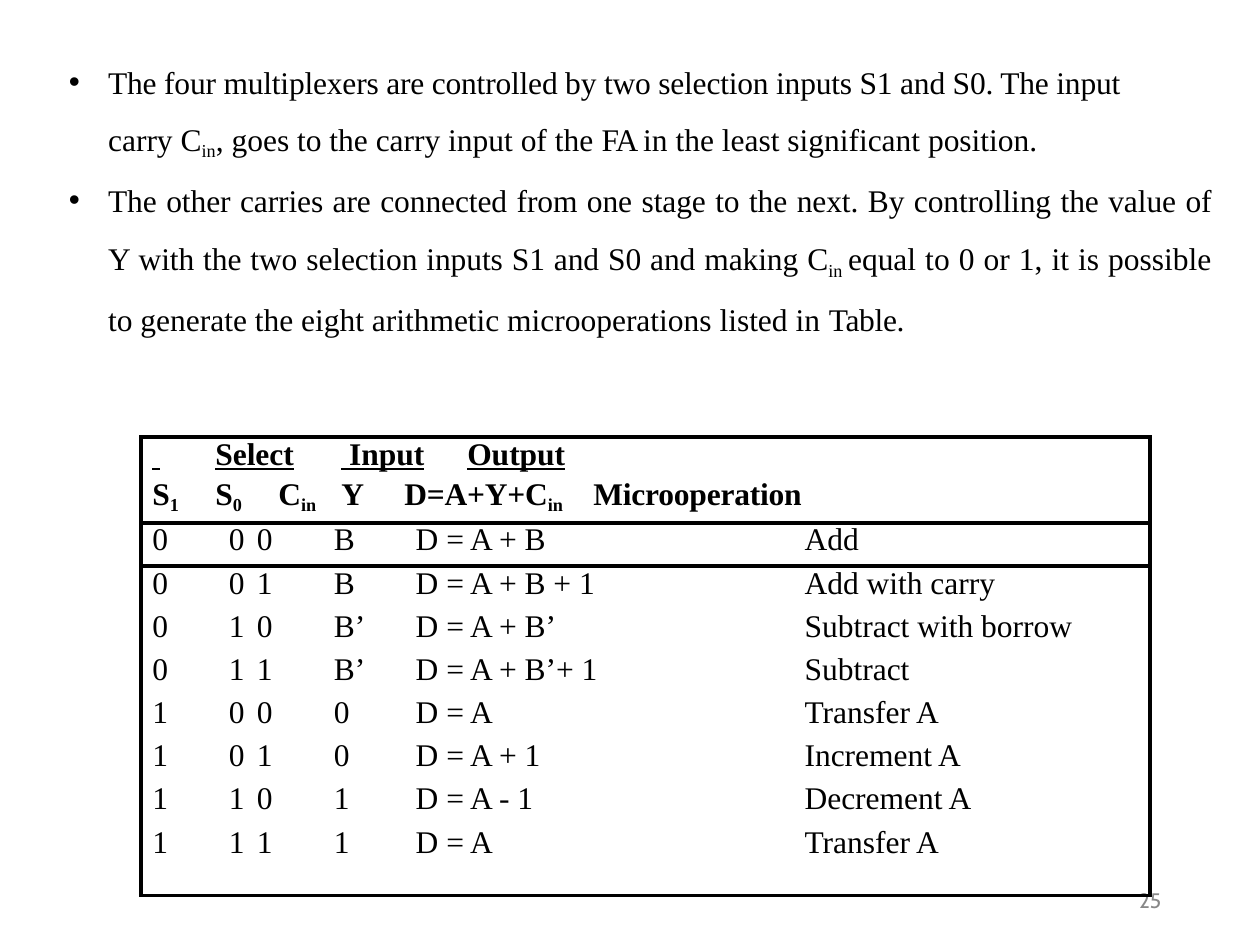
import dataclasses
from typing import Sequence

import lxml.etree
import pptx
import pptx.dml.color
import pptx.enum.text
import pptx.oxml
import pptx.oxml.ns
import pptx.util

Cm = pptx.util.Cm
Pt = pptx.util.Pt
Align = pptx.enum.text.PP_ALIGN
qn = pptx.oxml.ns.qn

BLACK = "000000"
GREY = "888888"
SERIF = "Times New Roman"
NO_STYLE = "{2D5ABB26-0587-4C30-8999-92F81FD0307C}"


@dataclasses.dataclass(frozen=True)
class Span:
    text: str
    sub: bool = False
    underline: bool = False
    spacing: float = 0


@dataclasses.dataclass(frozen=True)
class Layout:
    """Paragraph settings: lengths in centimetres, spacing in points."""
    margin: float = 0
    hanging: float = 0
    align: Align = Align.LEFT
    before: float = 0
    lines: float = 1.0
    bullet: str = ""
    tabs: Sequence[float] = ()


@dataclasses.dataclass(frozen=True)
class Operation:
    s1: str
    s0: str
    carry: str
    y: str
    output: str
    name: str


BULLETS = [
    (Layout(0.94, 0.79, Align.DISTRIBUTE, bullet="•"),
     [Span("The four multiplexers are controlled by two selection inputs "
           "S1 and S0. The input", spacing=-0.1)]),
    (Layout(0.94, 0, Align.JUSTIFY, before=10.8),
     [Span("carry C"), Span("in", sub=True),
      Span(", goes to the carry input of the "), Span("FA ", spacing=-0.7),
      Span("in the least significant position.")]),
    (Layout(0.94, 0.79, Align.JUSTIFY, 0.1, 1.5, "•"),
     [Span("The other carries are connected from one stage to the next. "
           "By controlling the value of Y with the two selection inputs "
           "S1 and S0 and making C", spacing=-0.05),
      Span("in ", sub=True, spacing=-0.1),
      Span("equal to 0 or 1, it is possible to generate the eight "
           "arithmetic microoperations listed in "),
      Span("Table.", spacing=-0.2)]),
]

HEADER = [
    (Layout(0.23, tabs=(0.86, 3.1, 5.87)),
     [Span(" \tSelect\t Input", underline=True), Span("\t"),
      Span("Output", underline=True)]),
    (Layout(0.23, before=3, tabs=(1.27, 2.36, 3.86, 5.54, 11.81)),
     [Span("S"), Span("1\t", sub=True), Span("S"), Span("0\t", sub=True),
      Span("C"), Span("in\t", sub=True), Span("Y\t"),
      Span("D=A+Y+C", spacing=-0.1), Span("in\t", sub=True),
      Span("Microoperation", spacing=-0.1)]),
]

OPERATIONS = [
    Operation("0", "0", "0", "B", "D = A + B", "Add"),
    Operation("0", "0", "1", "B", "D = A + B + 1", "Add with carry"),
    Operation("0", "1", "0", "B’", "D = A + B’", "Subtract with borrow"),
    Operation("0", "1", "1", "B’", "D = A + B’+ 1", "Subtract"),
    Operation("1", "0", "0", "0", "D = A", "Transfer A"),
    Operation("1", "0", "1", "0", "D = A + 1", "Increment A"),
    Operation("1", "1", "0", "1", "D = A - 1", "Decrement A"),
    Operation("1", "1", "1", "1", "D = A", "Transfer A"),
]

WIDTHS = [1.02, 1.07, 1.19, 1.75, 6.27, 9.04]
HEIGHTS = [1.73] + [0.87] * 7 + [1.42]
CELL_LAYOUTS = [Layout(0.23), Layout(align=Align.RIGHT), Layout(0.25),
                Layout(0.61), Layout(0.51), Layout(2.08)]


def colour(value: str) -> pptx.dml.color.RGBColor:
    return pptx.dml.color.RGBColor.from_string(value)


def arrange(para, layout: Layout) -> None:
    para.alignment = layout.align
    para.line_spacing = layout.lines
    para.space_before = Pt(layout.before)
    para.space_after = Pt(0)
    properties = para._p.get_or_add_pPr()
    properties.set("marL", str(Cm(layout.margin)))
    properties.set("indent", str(-Cm(layout.hanging)))
    if layout.bullet:
        bullet = lxml.etree.SubElement(properties, qn("a:buChar"))
        bullet.set("char", layout.bullet)
    else:
        lxml.etree.SubElement(properties, qn("a:buNone"))
    if layout.tabs:
        tab_list = lxml.etree.SubElement(properties, qn("a:tabLst"))
        for place in layout.tabs:
            tab = lxml.etree.SubElement(tab_list, qn("a:tab"))
            tab.set("pos", str(Cm(place)))
            tab.set("algn", "l")


def add_span(para, span: Span, size: float = 18, font: str = SERIF,
             shade: str = BLACK, bold: bool = False) -> None:
    run = para.add_run()
    run.text = span.text
    run.font.size = Pt(size)
    run.font.name = font
    run.font.bold = bold
    run.font.color.rgb = colour(shade)
    if span.underline:
        run.font.underline = True
    properties = run._r.get_or_add_rPr()
    if span.sub:
        properties.set("baseline", "-21000")
    if span.spacing:
        properties.set("spc", str(round(span.spacing * 100)))


def write(frame, paragraphs, bold: bool = False) -> None:
    for index, (layout, spans) in enumerate(paragraphs):
        para = frame.add_paragraph() if index else frame.paragraphs[0]
        arrange(para, layout)
        for span in spans:
            add_span(para, span, bold=bold)


def clear_margins(holder) -> None:
    holder.margin_left = holder.margin_right = Cm(0)
    holder.margin_top = holder.margin_bottom = Cm(0)


def set_borders(cell, **widths: float) -> None:
    """Draw the named sides (L, R, T, B) in points; hide the others."""
    properties = cell._tc.get_or_add_tcPr()
    for index, side in enumerate("LRTB"):
        line = lxml.etree.Element(qn("a:ln" + side))
        if side in widths:
            line.set("w", str(Pt(widths[side])))
            fill = lxml.etree.SubElement(line, qn("a:solidFill"))
            lxml.etree.SubElement(fill, qn("a:srgbClr")).set("val", BLACK)
        else:
            lxml.etree.SubElement(line, qn("a:noFill"))
        properties.insert(index, line)


def add_operations_table(page) -> None:
    table = page.shapes.add_table(
        len(HEIGHTS), len(WIDTHS), Cm(2.84), Cm(8.81),
        Cm(sum(WIDTHS)), Cm(sum(HEIGHTS))).table
    table.first_row = table.horz_banding = False
    table._tbl.tblPr.find(qn("a:tableStyleId")).text = NO_STYLE
    for column, width in zip(table.columns, WIDTHS):
        column.width = Cm(width)
    for row, height in zip(table.rows, HEIGHTS):
        row.height = Cm(height)

    header = table.cell(0, 0)
    header.merge(table.cell(0, len(WIDTHS) - 1))
    clear_margins(header)
    header.fill.background()
    write(header.text_frame, HEADER, bold=True)
    set_borders(header, L=2.25, R=2.25, T=2.25, B=3)

    for number, operation in enumerate(OPERATIONS, start=1):
        edges = {1: {"T": 3, "B": 3}, 2: {"T": 3},
                 len(OPERATIONS): {"B": 2.25}}.get(number, {})
        for column, text in enumerate(dataclasses.astuple(operation)):
            cell = table.cell(number, column)
            clear_margins(cell)
            cell.fill.background()
            write(cell.text_frame, [(CELL_LAYOUTS[column], [Span(text)])])
            sides = {0: {"L": 2.25}, len(WIDTHS) - 1: {"R": 2.25}}
            set_borders(cell, **edges, **sides.get(column, {}))


def main() -> None:
    deck = pptx.Presentation()
    deck.slide_width, deck.slide_height = Cm(25.4), Cm(19.05)
    page = deck.slides.add_slide(deck.slide_layouts[1])
    title = page.shapes.title
    title._element.getparent().remove(title._element)

    number = page.shapes.add_textbox(Cm(22.86), Cm(17.96), Cm(0.64), Cm(0.51))
    clear_margins(number.text_frame)
    para = number.text_frame.paragraphs[0]
    arrange(para, Layout(0.1))
    para.line_spacing = Pt(12.4)
    add_span(para, Span("25"), 12, "Cabin", GREY)

    body = page.placeholders[1]
    body.left, body.top = Cm(1.24), Cm(0.86)
    body.width, body.height = Cm(23.19), Cm(5.79)
    frame = body.text_frame
    frame.auto_size = pptx.enum.text.MSO_AUTO_SIZE.NONE
    clear_margins(frame)
    frame.margin_top = Cm(0.41)
    write(frame, BULLETS)

    add_operations_table(page)
    deck.save("out.pptx")


if __name__ == "__main__":
    main()
